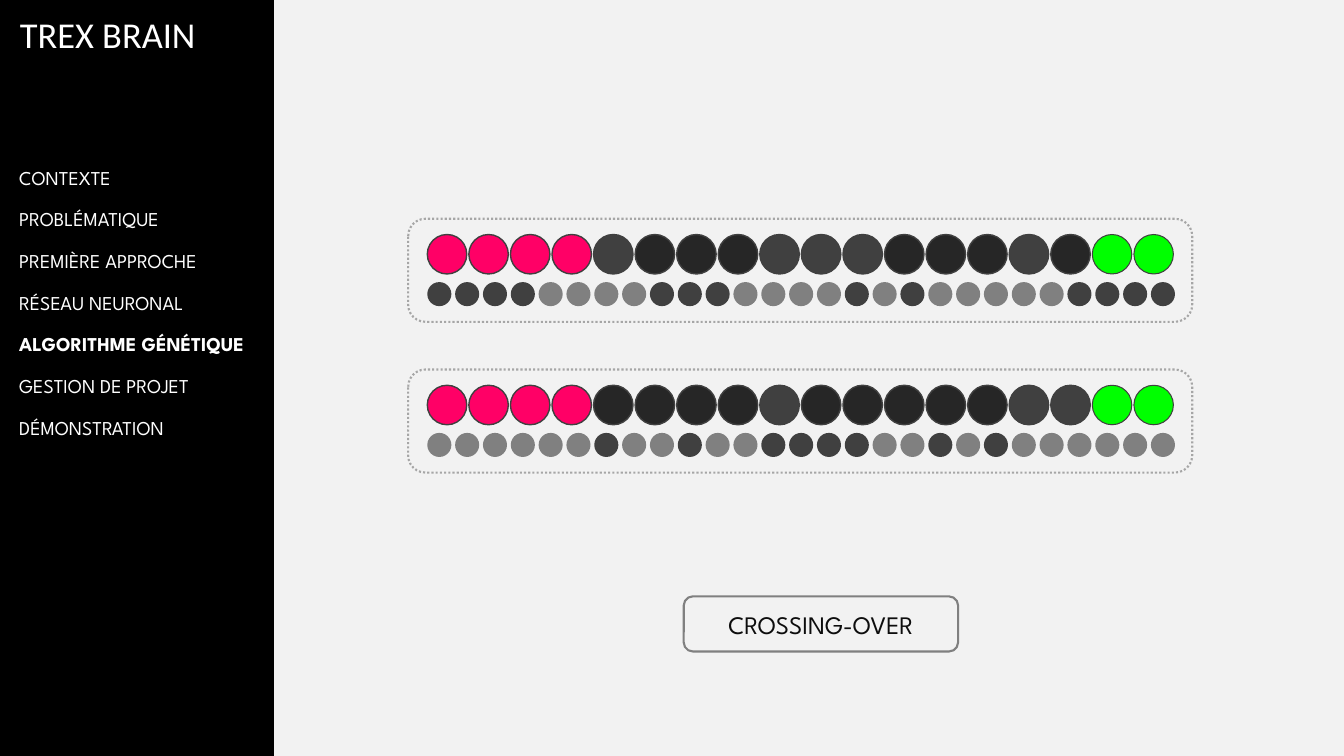
from dataclasses import dataclass

from lxml.etree import SubElement
from pptx import Presentation
from pptx.dml.color import RGBColor
from pptx.enum.dml import MSO_LINE
from pptx.enum.shapes import MSO_SHAPE
from pptx.enum.text import MSO_ANCHOR, MSO_AUTO_SIZE, PP_ALIGN
from pptx.oxml.ns import qn
from pptx.util import Pt


@dataclass(frozen=True)
class Theme:
    black: str = "000000"
    white: str = "FFFFFF"
    ink: str = "0D0D0D"
    pink: str = "FF0066"
    green: str = "00FF00"
    dark: str = "262626"
    grey: str = "404040"
    light: str = "808080"
    border: str = "A6A6A6"
    title_font: str = "Calibri"
    font: str = "League Spartan"
    title_size: float = 26
    menu_size: float = 14
    label_size: float = 18


THEME = Theme()
GENE_COLOURS = {"P": THEME.pink, "V": THEME.green, "D": THEME.dark,
                "G": THEME.grey, "L": THEME.light}
MENU = ["CONTEXTE", "PROBLÉMATIQUE", "PREMIÈRE APPROCHE", "RÉSEAU NEURONAL",
        "ALGORITHME GÉNÉTIQUE", "GESTION DE PROJET", "DÉMONSTRATION"]
CURRENT = "ALGORITHME GÉNÉTIQUE"
# Per parent: neurons (large circles), then connections (small circles)
PARENTS = [
    ("PPPPGDDDGGGDDDGDVV", "GGGGLLLLGGGLLLLGLGLLLLLGGGG"),
    ("PPPPDDDDGDDDDDGGVV", "LLLLLLGLLGLLGGGGLLGLGLLLLLL"),
]
PARENT_TOP, PARENT_PITCH = 156.3, 107.7


def rgb(colour):
    return RGBColor.from_string(colour)


def place(shape, x, y, w, h):
    shape.left, shape.top, shape.width, shape.height = Pt(x), Pt(y), Pt(w), Pt(h)


def add_run(p, text, font, size, colour, bold=False):
    r = p.add_run()
    r.text = text
    r.font.name, r.font.size, r.font.bold = font, Pt(size), bold
    r.font.color.rgb = rgb(colour)


def add_box(s, kind, box, fill=None, line=None, weight=1.0):
    sp = s.shapes.add_shape(kind, *map(Pt, box))
    sp.shadow.inherit = False
    if fill:
        sp.fill.solid()
        sp.fill.fore_color.rgb = rgb(fill)
    else:
        sp.fill.background()
    if line:
        sp.line.color.rgb = rgb(line)
        sp.line.width = Pt(weight)
    else:
        sp.line.fill.background()
    return sp


def add_panel(s):
    """Draw the content area in slightly transparent white."""
    sp = add_box(s, MSO_SHAPE.RECTANGLE, (195.8, 0, 764.2, 540), THEME.white)
    colour = sp.fill._xPr.find(".//" + qn("a:srgbClr"))
    SubElement(colour, qn("a:alpha"), val="95000")


def add_title(s, text):
    sp = s.shapes.title
    place(sp, 7, 5, 186, 39)
    tf = sp.text_frame
    tf.auto_size, tf.word_wrap = MSO_AUTO_SIZE.NONE, False
    tf.vertical_anchor = MSO_ANCHOR.TOP
    p = tf.paragraphs[0]
    p.alignment = PP_ALIGN.LEFT
    add_run(p, text, THEME.title_font, THEME.title_size, THEME.white)


def add_menu(s, items, current):
    sp = s.placeholders[1]
    place(sp, 6.5, 105.4, 198, 210)
    tf = sp.text_frame
    tf.auto_size, tf.word_wrap = MSO_AUTO_SIZE.NONE, True
    tf.margin_top = 0
    for i, item in enumerate(items):
        p = tf.add_paragraph() if i else tf.paragraphs[0]
        p.line_spacing, p.space_before = Pt(29.75), Pt(0)
        pPr = p._p.get_or_add_pPr()
        pPr.set("marL", "0")
        pPr.set("indent", "0")
        SubElement(pPr, qn("a:buNone"))
        add_run(p, item, THEME.font, THEME.menu_size, THEME.white, item == current)


def add_genes(s, genes, y, size, pitch, outlined):
    for i, gene in enumerate(genes):
        add_box(s, MSO_SHAPE.OVAL, (305.2 + i * pitch, y, size, size),
                GENE_COLOURS[gene], THEME.grey if outlined else None,
                0.75 if gene == "V" else 1)


def add_parent(s, y, neurons, connections):
    frame = add_box(s, MSO_SHAPE.ROUNDED_RECTANGLE, (291.6, y, 560, 73.6),
                    line=THEME.border, weight=1.5)
    frame.line.dash_style = MSO_LINE.ROUND_DOT
    add_genes(s, neurons, y + 11.2, 28.2, 29.69, True)
    add_genes(s, connections, y + 45.2, 17.2, 19.88, False)


def add_label(s, text):
    sp = add_box(s, MSO_SHAPE.ROUNDED_RECTANGLE, (488.4, 426, 196, 39.4),
                 line=THEME.light, weight=1.5)
    tf = sp.text_frame
    tf.vertical_anchor = MSO_ANCHOR.MIDDLE
    p = tf.paragraphs[0]
    p.alignment = PP_ALIGN.CENTER
    add_run(p, text, THEME.font, THEME.label_size, THEME.ink)


def main():
    prs = Presentation()
    prs.slide_width, prs.slide_height = Pt(960), Pt(540)
    s = prs.slides.add_slide(prs.slide_layouts[1])
    s.background.fill.solid()
    s.background.fill.fore_color.rgb = rgb(THEME.black)
    add_title(s, "TREX BRAIN")
    add_panel(s)
    for i, (neurons, connections) in enumerate(PARENTS):
        add_parent(s, PARENT_TOP + i * PARENT_PITCH, neurons, connections)
    add_label(s, "CROSSING-OVER")
    add_menu(s, MENU, CURRENT)
    prs.save("out.pptx")


if __name__ == "__main__":
    main()
